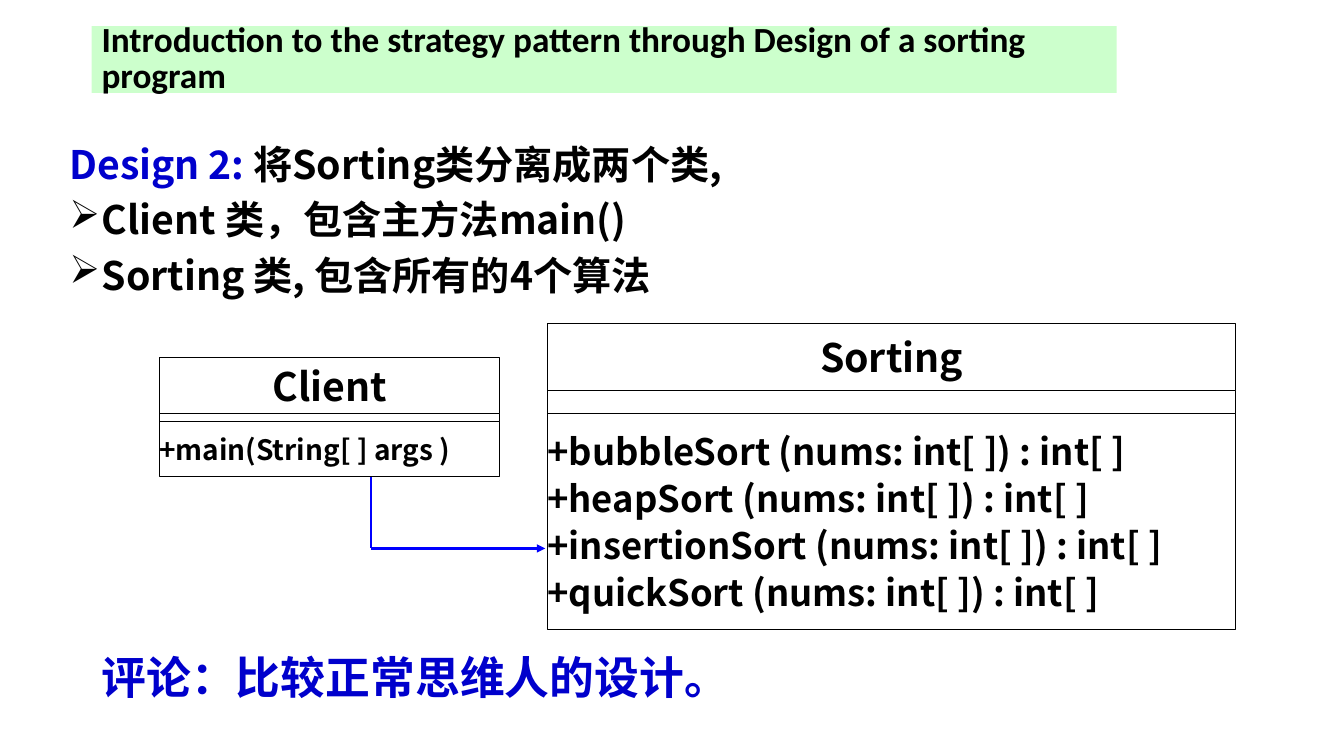
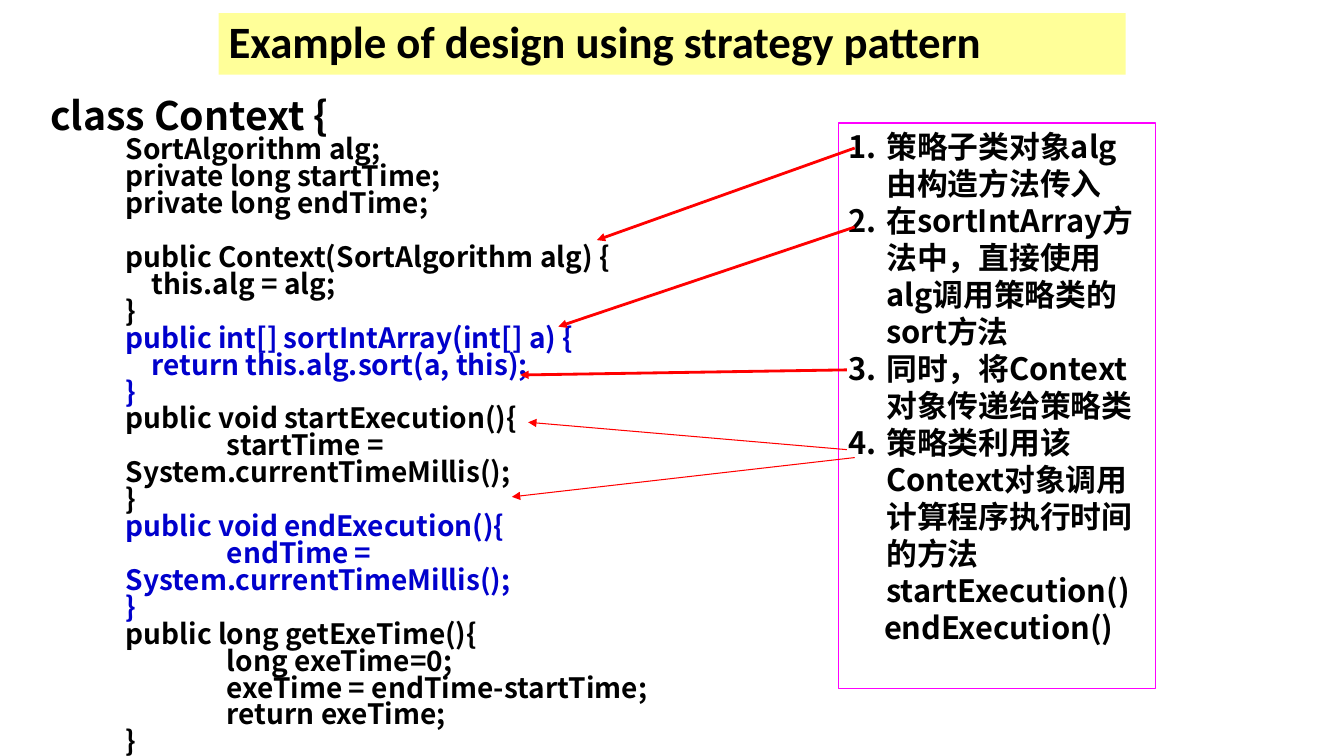
from lxml.etree import SubElement
from pptx import Presentation
from pptx.dml.color import RGBColor
from pptx.enum.shapes import MSO_CONNECTOR, MSO_SHAPE
from pptx.enum.text import MSO_ANCHOR, PP_ALIGN
from pptx.oxml.ns import qn
from pptx.util import Cm, Pt

BLACK, WHITE, NAVY, BLUE = "000000", "FFFFFF", "0000CC", "0000FF"
RED, MAGENTA, GREEN, YELLOW = "FF0000", "FF00FF", "CCFFCC", "FFFF99"
TITLE_FONT, BODY_FONT = "Calibri", "Noto Sans CJK SC"

METHODS = ["bubbleSort", "heapSort", "insertionSort", "quickSort"]

CODE_MARGIN, NESTED, DEEP = 1.9, 0.65, 2.55
CODE = [
    ("SortAlgorithm alg;", 0, BLACK),
    ("private long startTime;", 0, BLACK),
    ("private long endTime;", 0, BLACK),
    ("public Context(SortAlgorithm alg) {", 0, BLACK),
    ("this.alg = alg;", NESTED, BLACK),
    ("}", 0, BLACK),
    ("public int[] sortIntArray(int[] a) {", 0, NAVY),
    ("return this.alg.sort(a, this);", NESTED, NAVY),
    ("}", 0, NAVY),
    ("public void startExecution(){", 0, BLACK),
    ("startTime = System.currentTimeMillis();", DEEP, BLACK),
    ("}", 0, BLACK),
    ("public void endExecution(){", 0, NAVY),
    ("endTime = System.currentTimeMillis();", DEEP, NAVY),
    ("}", 0, NAVY),
    ("public long getExeTime(){", 0, BLACK),
    ("long exeTime=0;", DEEP, BLACK),
    ("exeTime = endTime-startTime;", DEEP, BLACK),
    ("return exeTime;", DEEP, BLACK),
    ("}", 0, BLACK),
]

NOTES = [
    "策略子类对象alg由构造方法传入",
    "在sortIntArray方法中，直接使用alg调用策略类的sort方法",
    "同时，将Context对象传递给策略类",
    "策略类利用该Context对象调用计算程序执行时间的方法startExecution()",
]

NOTE_ARROWS = [
    ((21.54, 5.72), (14.07, 8.23), 2),
    ((21.54, 3.73), (15.04, 6.05), 2),
    ((21.34, 9.32), (13.11, 9.45), 2),
    ((21.34, 11.33), (13.31, 10.64), 0.75),
    ((21.54, 11.53), (12.9, 12.52), 0.75),
]


def rgb(value):
    """Turn a hex string into a colour."""
    return RGBColor.from_string(value)


def write(tf, text, *, size, color=BLACK, font=BODY_FONT, align=None, line=None,
          before=0, margin=0, indent=0, bullet=None, join=False):
    """Write a bold paragraph, or a further run of the last one."""
    p = tf.paragraphs[-1]
    if p.runs and not join:
        p = tf.add_paragraph()
    if not join:
        p.alignment = align or PP_ALIGN.LEFT
        p.space_before = Pt(before)
        if line:
            p.line_spacing = line
        pPr = p._p.get_or_add_pPr()
        pPr.set("marL", str(Cm(margin)))
        pPr.set("indent", str(Cm(indent)))
        if bullet == "number":
            SubElement(pPr, qn("a:buAutoNum"), type="arabicPeriod")
        elif bullet:
            SubElement(pPr, qn("a:buChar"), char=bullet)
    r = p.add_run()
    r.text = text
    r.font.size = Pt(size)
    r.font.bold = True
    r.font.name = font
    r.font.color.rgb = rgb(color)
    SubElement(r._r.get_or_add_rPr(), qn("a:ea"), typeface=font)


def set_frame(tf, anchor, inset_x, inset_y):
    """Set wrapping, anchor and insets of a text frame."""
    tf.word_wrap = True
    tf.vertical_anchor = anchor
    tf.margin_left = tf.margin_right = Cm(inset_x)
    tf.margin_top = tf.margin_bottom = Cm(inset_y)
    return tf


def add_box(s, left, top, width, height, *, fill=None, line=None,
            anchor=MSO_ANCHOR.MIDDLE, inset_x=0.25, inset_y=0.13):
    """Add a rectangle and return its text frame."""
    sp = s.shapes.add_shape(MSO_SHAPE.RECTANGLE, Cm(left), Cm(top), Cm(width), Cm(height))
    sp.shadow.inherit = False
    if fill:
        sp.fill.solid()
        sp.fill.fore_color.rgb = rgb(fill)
    else:
        sp.fill.background()
    if line:
        sp.line.color.rgb = rgb(line)
        sp.line.width = Pt(0.75)
    else:
        sp.line.fill.background()
    return set_frame(sp.text_frame, anchor, inset_x, inset_y)


def add_text_box(s, left, top, width, height, inset_x=0.25):
    """Add a text box and return its text frame."""
    sp = s.shapes.add_textbox(Cm(left), Cm(top), Cm(width), Cm(height))
    return set_frame(sp.text_frame, MSO_ANCHOR.TOP, inset_x, 0.13)


def add_title(s, text, left, top, width, height, *, fill, size, line):
    """Add the coloured title band."""
    tf = add_box(s, left, top, width, height, fill=fill)
    write(tf, text, size=size, font=TITLE_FONT, line=line)


def add_line(s, start, end, *, color, width, arrow=True):
    """Add a straight line, with an arrowhead at its end if wanted."""
    x1, y1, x2, y2 = (Cm(v) for v in (*start, *end))
    sp = s.shapes.add_connector(MSO_CONNECTOR.STRAIGHT, x1, y1, x2, y2)
    sp.line.color.rgb = rgb(color)
    sp.line.width = Pt(width)
    spPr = sp._element.spPr
    if arrow:
        SubElement(spPr.find(qn("a:ln")), qn("a:tailEnd"), type="triangle")
    SubElement(spPr, qn("a:effectLst"))


def add_class(s, name, methods, left, top, width, heights, *, size, before=0):
    """Add a class diagram box of name, attributes and methods."""
    frames = []
    for height in heights:
        frames.append(add_box(s, left, top, width, height, fill=WHITE, line=BLACK,
                              inset_x=0, inset_y=0))
        top += height
    write(frames[0], name, size=28, align=PP_ALIGN.CENTER)
    for method in methods:
        write(frames[2], method, size=size, before=before)


def build_design_slide(s):
    """Build the slide on the second sorting design."""
    add_title(s, "Introduction to the strategy pattern through Design of a sorting program",
              2.31, 0.66, 25.83, 1.68, fill=GREEN, size=25.2, line=0.85)
    tf = add_text_box(s, 1.75, 3.4, 21.64, 4.27, inset_x=0)
    write(tf, "Design 2: ", size=28, color=NAVY, before=6)
    write(tf, "将Sorting类分离成两个类,", size=28, join=True)
    for text in ("Client 类，包含主方法main()", "Sorting 类, 包含所有的4个算法"):
        write(tf, text, size=28, before=6, margin=0.82, indent=-0.82, bullet="➢")
    add_class(s, "Sorting", [f"+{m} (nums: int[ ]) : int[ ]" for m in METHODS],
              13.79, 8.15, 17.35, (1.68, 0.58, 5.46), size=26, before=2.6)
    add_class(s, "Client", ["+main(String[ ] args )"],
              4.01, 9.02, 8.59, (1.4, 0.2, 1.4), size=20)
    corner = (9.35, 13.82)
    add_line(s, (9.35, 12.02), corner, color=BLUE, width=2, arrow=False)
    add_line(s, corner, (13.74, 13.82), color=BLUE, width=2)
    tf = add_text_box(s, 2.31, 16.23, 17.48, 1.63)
    write(tf, "评论：比较正常思维人的设计。", size=32, color=NAVY)


def build_context_slide(s):
    """Build the slide on the Context class."""
    tf = add_text_box(s, 1.02, 2.41, 18.34, 16.21)
    write(tf, "class Context {", size=28, line=0.8)
    for text, indent, color in CODE:
        before = 19.2 if text.startswith("public Context") else 0
        write(tf, text, size=20, color=color, line=0.8, before=before,
              margin=CODE_MARGIN, indent=indent)
    add_title(s, "Example of design using strategy pattern",
              5.51, 0.33, 22.86, 1.55, fill=YELLOW, size=32, line=0.9)
    tf = add_box(s, 21.13, 3.1, 8, 14.25, line=MAGENTA, anchor=MSO_ANCHOR.TOP)
    for note in NOTES:
        write(tf, note, size=22, margin=0.96, indent=-0.96, bullet="number")
    write(tf, "endExecution()", size=22, margin=0.9)
    for start, end, width in NOTE_ARROWS:
        add_line(s, start, end, color=RED, width=width)


def main():
    """Build and save the presentation."""
    prs = Presentation()
    prs.slide_width, prs.slide_height = Cm(33.87), Cm(19.05)
    for build in (build_design_slide, build_context_slide):
        build(prs.slides.add_slide(prs.slide_layouts[6]))
    prs.save("out.pptx")


if __name__ == "__main__":
    main()
